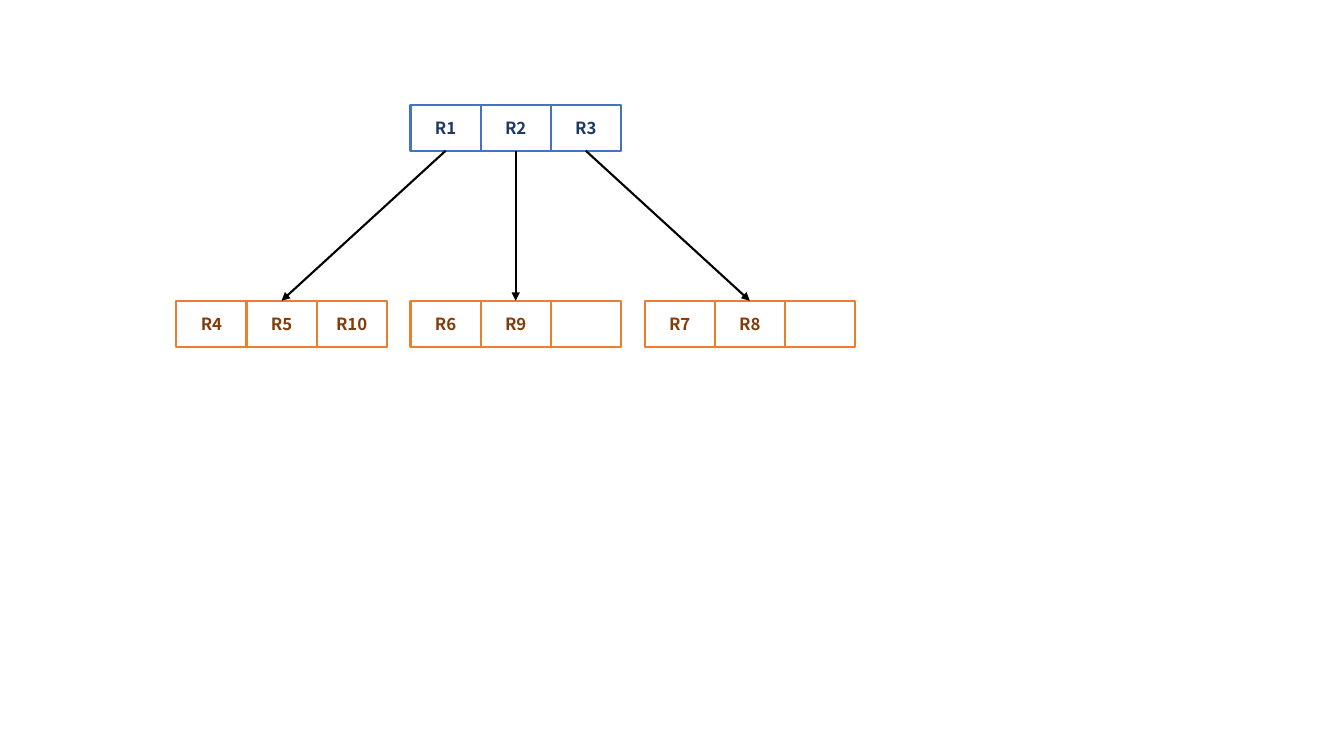
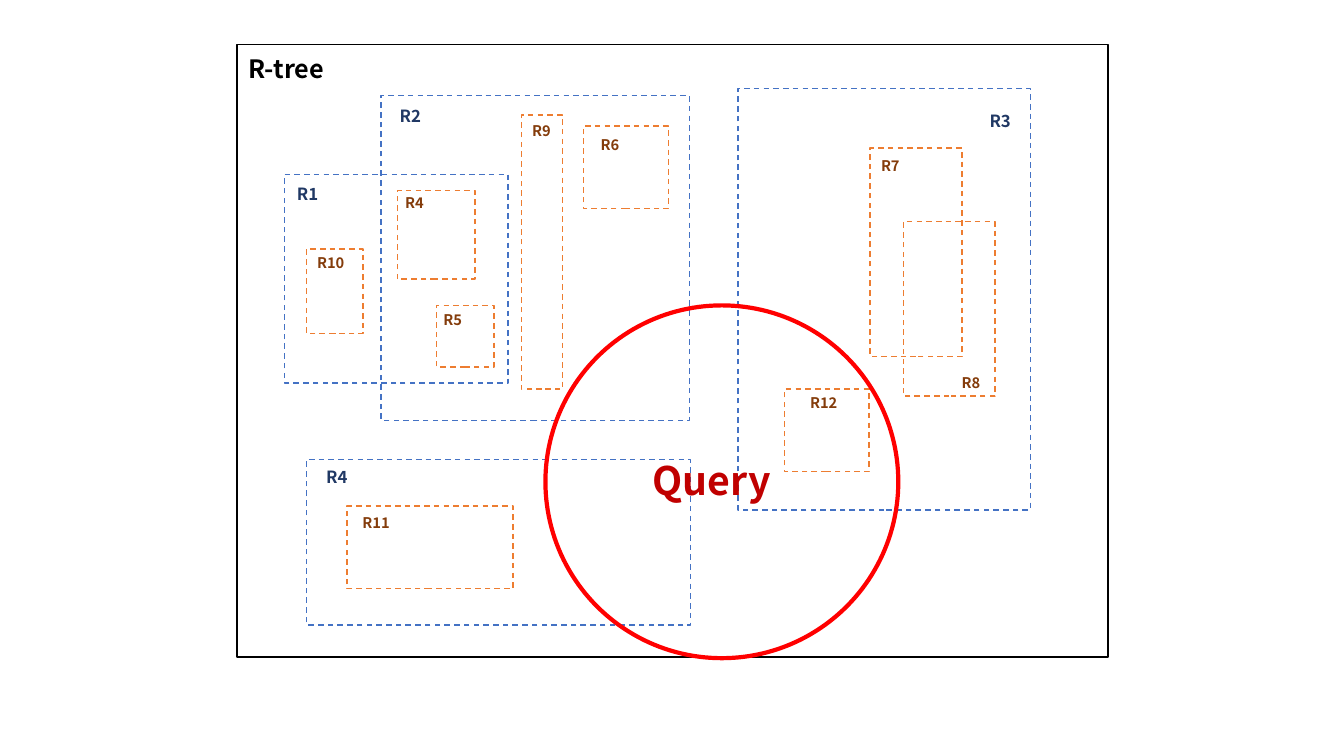
import pptx
import pptx.util
import pptx.dml.color
import pptx.enum.dml
import pptx.enum.shapes
import pptx.enum.text
import pptx.oxml
import pptx.oxml.ns
from dataclasses import dataclass

Inches = pptx.util.Inches
Shape = pptx.enum.shapes.MSO_SHAPE
Anchor = pptx.enum.text.MSO_ANCHOR
Dash = pptx.enum.dml.MSO_LINE


@dataclass(frozen=True)
class Theme:
    font: str = "Noto Sans CJK KR"
    ink: str = "000000"
    blue: str = "4472C4"
    navy: str = "203864"
    orange: str = "ED7D31"
    brown: str = "843C0B"
    red: str = "FF0000"
    dark_red: str = "C00000"
    title: float = 18
    node: float = 12
    leaf: float = 10.5
    query: float = 28
    thin: float = 1
    line: float = 1.5
    thick: float = 3


theme = Theme()


def apply(item, form):
    for name, value in form.items():
        setattr(item, name, value)


def rgb(color):
    return pptx.dml.color.RGBColor.from_string(color)


def draw_line(line, color, width, dash=None):
    line.color.rgb = rgb(color)
    line.width = pptx.util.Pt(width)
    if dash:
        line.dash_style = dash


def write(shape, words, color, size, anchor=Anchor.TOP, pad=0.05):
    frame = shape.text_frame
    frame.text = words
    apply(frame, {
        "word_wrap": True,
        "auto_size": pptx.enum.text.MSO_AUTO_SIZE.NONE,
        "vertical_anchor": anchor,
        "margin_left": Inches(0.1), "margin_right": Inches(0.1),
        "margin_top": Inches(pad), "margin_bottom": Inches(pad),
    })
    para = frame.paragraphs[0]
    para.alignment = pptx.enum.text.PP_ALIGN.CENTER
    font = para.runs[0].font
    apply(font, {"name": theme.font, "size": pptx.util.Pt(size), "bold": True})
    font.color.rgb = rgb(color)


def outline(slide, kind, box, color, width, dash=None):
    shape = slide.shapes.add_shape(kind, *map(Inches, box))
    shape.shadow.inherit = False
    shape.fill.background()
    draw_line(shape.line, color, width, dash)
    return shape


def label(slide, box, words, color, size):
    write(slide.shapes.add_textbox(*map(Inches, box)), words, color, size)


def arrow(slide, start, end):
    link = slide.shapes.add_connector(
        pptx.enum.shapes.MSO_CONNECTOR.STRAIGHT, 0, 0, 0, 0)
    link.begin_connect(start, 2)  # bottom edge
    link.end_connect(end, 0)  # top edge
    draw_line(link.line, theme.ink, theme.line)
    props = link.line._get_or_add_ln()
    space = pptx.oxml.ns.nsdecls("a")
    props.append(pptx.oxml.parse_xml(f'<a:tailEnd {space} type="triangle"/>'))
    props.getparent().append(pptx.oxml.parse_xml(f"<a:effectLst {space}/>"))


def cell_row(slide, box, names, edge, ink):
    left, top, width, height = box
    step = width / len(names)
    cells = []
    for i, name in enumerate(names):
        cell = outline(slide, Shape.RECTANGLE,
                       (left + i * step, top, step, height), edge, theme.line)
        if name:
            write(cell, name, ink, theme.node, Anchor.MIDDLE, 0.12)
        cells.append(cell)
    return cells


def tree_slide(slide, box, root, leaves):
    left, top, width, height = box
    gap_share = 0.34  # gap between nodes, in cells
    count = len(leaves)
    cell = width / (count * len(root) + (count - 1) * gap_share)
    wide, tall = cell * len(root), height * 0.19
    pitch = wide + cell * gap_share

    # Root node above the middle leaf
    parents = cell_row(slide, (left + pitch * (count // 2), top, wide, tall),
                       root, theme.blue, theme.navy)
    # Leaf nodes, each linked to its root entry
    for i, names in enumerate(leaves):
        place = (left + i * pitch, top + height - tall, wide, tall)
        cells = cell_row(slide, place, names, theme.orange, theme.brown)
        arrow(slide, parents[i], cells[len(cells) // 2])


def map_slide(slide, box, nodes, leaves):
    left, top, width, height = box
    col, row = width / 864, height / 608

    def area(x, y, wide, tall):
        return left + x * col, top + y * row, wide * col, tall * row

    # Frame and title
    outline(slide, Shape.RECTANGLE, box, theme.ink, theme.thin)
    title = slide.shapes.title
    places = ("left", "top", "width", "height")
    apply(title, dict(zip(places, map(Inches, area(1, 4, 96, 40)))))
    write(title, "R-tree", theme.ink, theme.title)

    # Bounding boxes with their names
    for regions, edge, ink, size in (
            (nodes, theme.blue, theme.navy, theme.node),
            (leaves, theme.orange, theme.brown, theme.leaf)):
        for name, (x, y, wide, tall), (dx, dy) in regions:
            outline(slide, Shape.RECTANGLE, area(x, y, wide, tall),
                    edge, theme.thin, Dash.DASH)
            label(slide, area(x + dx, y + dy, 58, 30), name, ink, size)

    # Query circle
    outline(slide, Shape.OVAL, area(306, 259, 350, 350),
            theme.red, theme.thick)
    label(slide, area(379, 404, 184, 57), "Query",
          theme.dark_red, theme.query)


# Each region: name, box in frame columns and rows, label offset
NODES = [
    ("R1", (47, 129, 222, 207), (-6, 4)),
    ("R2", (143, 51, 306, 322), (0, 5)),
    ("R3", (497, 44, 290, 418), (231, 17)),
    ("R4", (69, 412, 381, 164), (1, 2)),
]
LEAVES = [
    ("R4", (159, 145, 77, 88), (-12, -2)),
    ("R5", (198, 259, 57, 61), (-13, 0)),
    ("R6", (344, 81, 84, 82), (-3, 5)),
    ("R7", (628, 103, 91, 207), (-9, 4)),
    ("R8", (661, 176, 91, 173), (38, 146)),
    ("R9", (282, 70, 41, 272), (-9, 2)),
    ("R10", (69, 203, 56, 84), (-5, 0)),
    ("R11", (109, 458, 165, 82), (0, 3)),
    ("R12", (543, 342, 84, 82), (10, 0)),
]

deck = pptx.Presentation()
apply(deck, {"slide_width": Inches(13.33), "slide_height": Inches(7.5)})
title_only, blank = deck.slide_layouts[5], deck.slide_layouts[6]

tree_slide(deck.slides.add_slide(blank), (1.75, 1.04, 6.73, 2.4),
           ["R1", "R2", "R3"],
           [["R4", "R5", "R10"], ["R6", "R9", ""], ["R7", "R8", ""]])
map_slide(deck.slides.add_slide(title_only), (2.35, 0.44, 8.64, 6.08),
          NODES, LEAVES)
deck.save("out.pptx")
